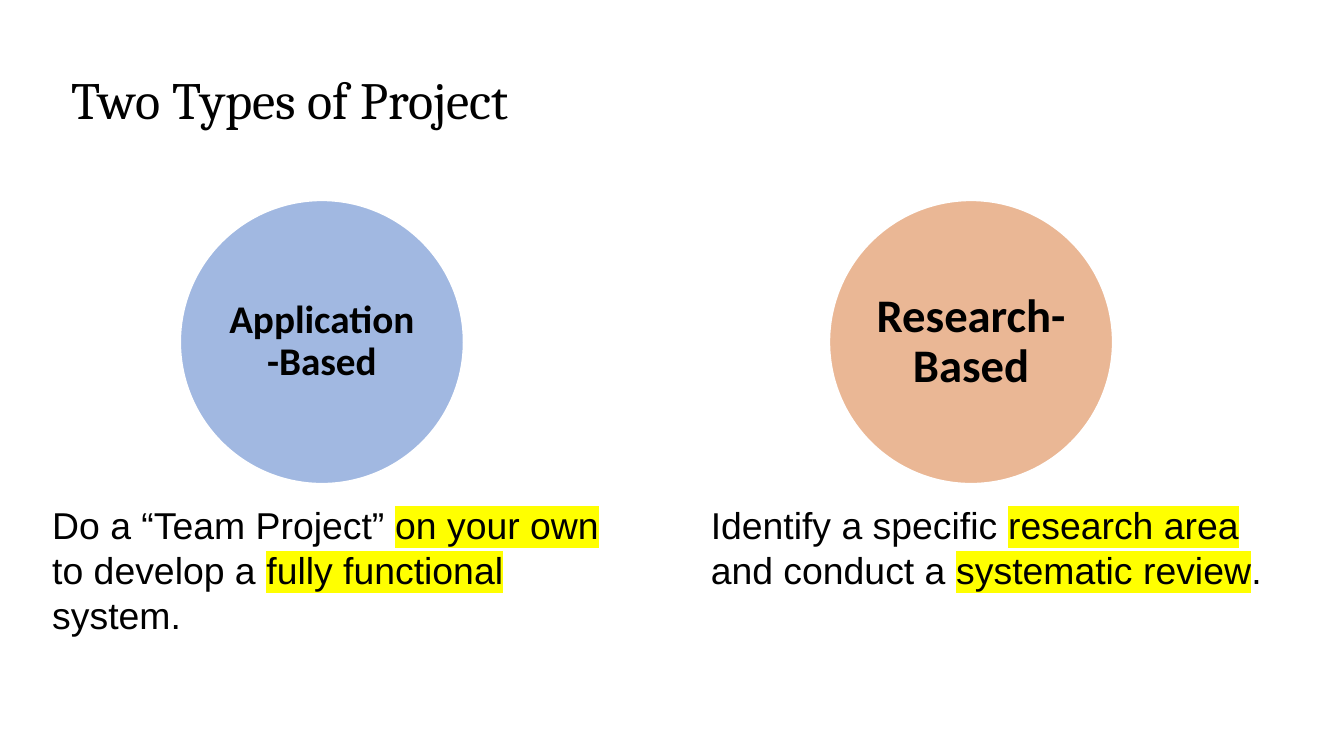
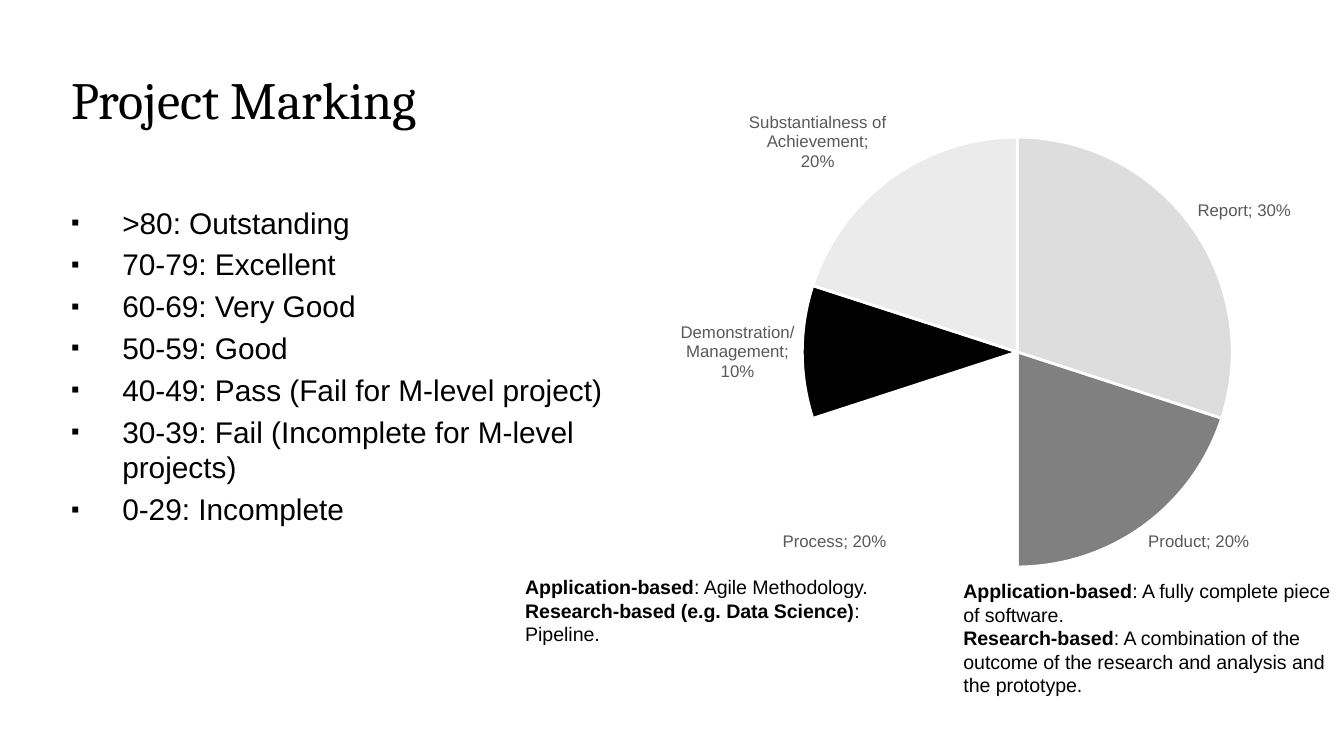
from dataclasses import dataclass
from typing import Any

from lxml.etree import Element, SubElement
from pptx import Presentation
from pptx.chart.data import CategoryChartData
from pptx.dml.color import RGBColor
from pptx.enum.chart import XL_CHART_TYPE, XL_LABEL_POSITION
from pptx.enum.shapes import MSO_SHAPE
from pptx.enum.text import MSO_ANCHOR, MSO_AUTO_SIZE, PP_ALIGN
from pptx.oxml.ns import qn
from pptx.util import Inches, Pt

# Shared look
COLORS = {
    "ink": "000000", "paper": "FFFFFF", "mark": "FFFF00", "label": "595959",
    "blue": "4472C4", "orange": "D7712C",
    "light": "DDDDDD", "mid": "808080", "pale": "EBEBEB",
}
TITLE = {"name": "Cambria", "size": Pt(28), "bold": False}
LIST = {"name": "Arial", "size": Pt(16), "bold": False}
BLURB = {"name": "Arial", "size": Pt(20)}
NOTE = {"name": "Arial", "size": Pt(10.5)}
LABEL = {"name": "Arial", "size": Pt(9), "bold": False}
TOP = {"word_wrap": True, "auto_size": MSO_AUTO_SIZE.NONE,
       "vertical_anchor": MSO_ANCHOR.TOP}
GROW = TOP | {"auto_size": MSO_AUTO_SIZE.SHAPE_TO_FIT_TEXT}
INSET = Inches(0.03)
CENTER = TOP | {"vertical_anchor": MSO_ANCHOR.MIDDLE} | {
    f"margin_{side}": INSET for side in ("left", "right", "top", "bottom")}
C15 = "{http://schemas.microsoft.com/office/drawing/2012/chart}"
EXT = "{CE6537A1-D6FC-4f65-9D91-7224C49458BB}"


@dataclass
class Run:
    text: str
    mark: bool = False
    bold: bool = False


@dataclass
class Kind:
    name: str
    size: int
    color: str
    left: float
    blurb_left: float
    blurb: list[Run]


@dataclass
class Note:
    left: float
    top: float
    high: float
    lines: list[tuple[str, str]]


@dataclass
class Slice:
    name: str
    value: int
    color: str
    box: tuple[float, float] | None = None


KINDS = [
    Kind("Application-Based", 21, "blue", 1.34, 0.29, [
        Run("Do a “Team Project” "), Run("on your own ", mark=True),
        Run("to develop a "), Run("fully functional ", mark=True),
        Run("system.")]),
    Kind("Research-Based", 25, "orange", 6.17, 5.19, [
        Run("Identify a specific "), Run("research area ", mark=True),
        Run("and conduct a "), Run("systematic review", mark=True),
        Run(".")]),
]
GRADES = [
    ">80: Outstanding", "70-79: Excellent", "60-69: Very Good",
    "50-59: Good", "40-49: Pass (Fail for M-level project)",
    "30-39: Fail (Incomplete for M-level projects)", "0-29: Incomplete",
]
SLICES = [
    Slice("Report", 30, "light", (0.12, 0.09)), Slice("Product", 20, "mid"),
    Slice("Process", 20, "paper"),
    Slice("Demonstration/ Management", 10, "ink"),
    Slice("Substantialness of Achievement", 20, "pale", (0.19, 0.14)),
]
NOTES = [
    Note(7.07, 4.26, 0.98, [
        ("Application-based", ": A fully complete piece of software."),
        ("Research-based", ": A combination of the outcome of the research "
                           "and analysis and the prototype.")]),
    Note(3.81, 4.23, 0.63, [
        ("Application-based", ": Agile Methodology."),
        ("Research-based (e.g. Data Science)", ": Pipeline.")]),
]


# Helpers
def tint(name: str) -> RGBColor:
    return RGBColor.from_string(COLORS[name])


def place(*sides: float) -> list[int]:
    return [Inches(side) for side in sides]


def apply(item: Any, form: dict) -> None:
    for key, value in form.items():
        setattr(item, key, value)


def style(font: Any, form: dict, color: str = "ink") -> None:
    apply(font, form)
    font.color.rgb = tint(color)


def move(shape: Any, *sides: float) -> None:
    apply(shape, dict(zip(("left", "top", "width", "height"), place(*sides))))


def add_runs(para: Any, runs: list[Run], form: dict) -> None:
    for part in runs:
        run = para.add_run()
        run.text = part.text
        style(run.font, form | {"bold": part.bold})
        if part.mark:
            light = Element(qn("a:highlight"))
            SubElement(light, qn("a:srgbClr"), val=COLORS["mark"])
            run.font._element.find(qn("a:latin")).addprevious(light)


def add_text(shapes: Any, sides: tuple, lines: list[list[Run]],
             form: dict, frame: dict = GROW) -> Any:
    text = shapes.add_textbox(*place(*sides)).text_frame
    apply(text, frame)
    for i, runs in enumerate(lines):
        para = text.add_paragraph() if i else text.paragraphs[0]
        add_runs(para, runs, form)
    return text


def add_slide(deck: Any, layout: int, title: str) -> Any:
    slide = deck.slides.add_slide(deck.slide_layouts[layout])
    shape = slide.shapes.title
    move(shape, 0.43, 0.45, 8.5, 0.94)
    apply(shape.text_frame, TOP)
    para = shape.text_frame.paragraphs[0]
    para.alignment = PP_ALIGN.LEFT
    add_runs(para, [Run(title)], TITLE)
    return slide


def set_layout(layout: Any, form: dict) -> None:
    manual = SubElement(layout, qn("c:manualLayout"))
    for key, value in form.items():
        SubElement(manual, qn("c:" + key), val=str(value))


def set_parts(label: Any) -> None:
    for key, value in {"Val": "0", "CatName": "1", "Percent": "1"}.items():
        label.find(qn("c:show" + key)).set("val", value)
    mark = Element(qn("c:separator"))
    mark.text = "; "
    label.find(qn("c:showBubbleSize")).addnext(mark)


# Parts of the slides
def add_kind(slide: Any, kind: Kind) -> None:
    top, size, pad = 1.49, 2.11, 0.31
    group = slide.shapes.add_group_shape().shapes
    disc = group.add_shape(MSO_SHAPE.OVAL, *place(kind.left, top, size, size))
    disc.shadow.inherit = False
    disc.fill.solid()
    disc.fill.fore_color.rgb = tint(kind.color)
    fill = disc._element.spPr.find(qn("a:solidFill"))
    SubElement(fill[0], qn("a:alpha"), val="50000")
    disc.line.color.rgb = tint("paper")
    disc.line.width = Pt(1)

    inner = size - 2 * pad
    text = add_text(group, (kind.left + pad, top + pad, inner, inner),
                    [[Run(kind.name, bold=True)]],
                    {"name": "Calibri", "size": Pt(kind.size)}, CENTER)
    apply(text.paragraphs[0],
          {"alignment": PP_ALIGN.CENTER, "line_spacing": 0.9})
    add_text(slide.shapes, (kind.blurb_left, 3.69, 4.39, 1.11),
             [kind.blurb], BLURB)


def add_list(body: Any, items: list[str]) -> None:
    move(body, 0.43, 1.47, 4.28, 3.23)
    text = body.text_frame
    apply(text, TOP)
    for i, item in enumerate(items):
        para = text.add_paragraph() if i else text.paragraphs[0]
        add_runs(para, [Run(item)], LIST)
        para.space_before = Pt(3.2)
        props = para._p.get_or_add_pPr()
        props.set("marL", str(Inches(0.38)))
        props.set("indent", str(-Inches(0.38)))
        hue = SubElement(props, qn("a:buClr"))
        SubElement(hue, qn("a:srgbClr"), val=COLORS["ink"])
        SubElement(props, qn("a:buSzPct"), val="80000")
        SubElement(props, qn("a:buFont"), typeface="Arial")
        SubElement(props, qn("a:buChar"), char="▪")


def add_pie(slide: Any, slices: list[Slice]) -> None:
    data = CategoryChartData()
    data.categories = [part.name for part in slices]
    data.add_series("Series 1", [part.value for part in slices])
    chart = slide.shapes.add_chart(
        XL_CHART_TYPE.PIE, *place(4.68, 0.54, 5.16, 4), data).chart
    apply(chart, {"has_title": False, "has_legend": False})
    style(chart.font, LABEL)
    plot = chart.plots[0]
    plot.vary_by_categories = True
    series = plot.series[0]
    labels = series.data_labels
    labels.position = XL_LABEL_POSITION.OUTSIDE_END
    style(labels.font, LABEL, "label")
    set_parts(labels._element)

    for i, part in enumerate(slices):
        point = series.points[i]
        point.format.fill.solid()
        point.format.fill.fore_color.rgb = tint(part.color)
        point.format.line.color.rgb = tint("paper")
        point.format.line.width = Pt(1.5)
        if part.box:
            # Narrow label that wraps
            style(point.data_label.font, LABEL, "label")
            point.data_label.position = XL_LABEL_POSITION.OUTSIDE_END
            label = labels._element.findall(qn("c:dLbl"))[-1]
            set_parts(label)
            layout = Element(qn("c:layout"))
            label.find(qn("c:idx")).addnext(layout)
            set_layout(layout, {"x": 0, "y": 0})
            exts = SubElement(label, qn("c:extLst"))
            ext = SubElement(exts, qn("c:ext"), uri=EXT)
            inner = SubElement(ext, C15 + "layout", nsmap={"c15": C15[1:-1]})
            set_layout(inner, dict(zip("wh", part.box)))

    # Fixed plot area
    area = chart._chartSpace.find(".//" + qn("c:plotArea"))
    old = area.find(qn("c:layout"))
    if old is not None:
        area.remove(old)
    layout = Element(qn("c:layout"))
    area.insert(0, layout)
    set_layout(layout, {"layoutTarget": "inner", "xMode": "edge",
                        "yMode": "edge", "x": 0.25, "y": 0.12,
                        "w": 0.62, "h": 0.8})


def main() -> None:
    deck = Presentation()
    deck.slide_width = Inches(10)
    deck.slide_height = deck.slide_width * 9 // 16

    # Slide 1: project types
    slide = add_slide(deck, 5, "Two Types of Project")
    for kind in KINDS:
        add_kind(slide, kind)

    # Slide 2: marking
    slide = add_slide(deck, 1, "Project Marking")
    add_list(slide.placeholders[1], GRADES)
    add_pie(slide, SLICES)
    for note in NOTES:
        lines = [[Run(head, bold=True), Run(rest)]
                 for head, rest in note.lines]
        add_text(slide.shapes, (note.left, note.top, 2.94, note.high),
                 lines, NOTE)
    deck.save("out.pptx")


if __name__ == "__main__":
    main()
